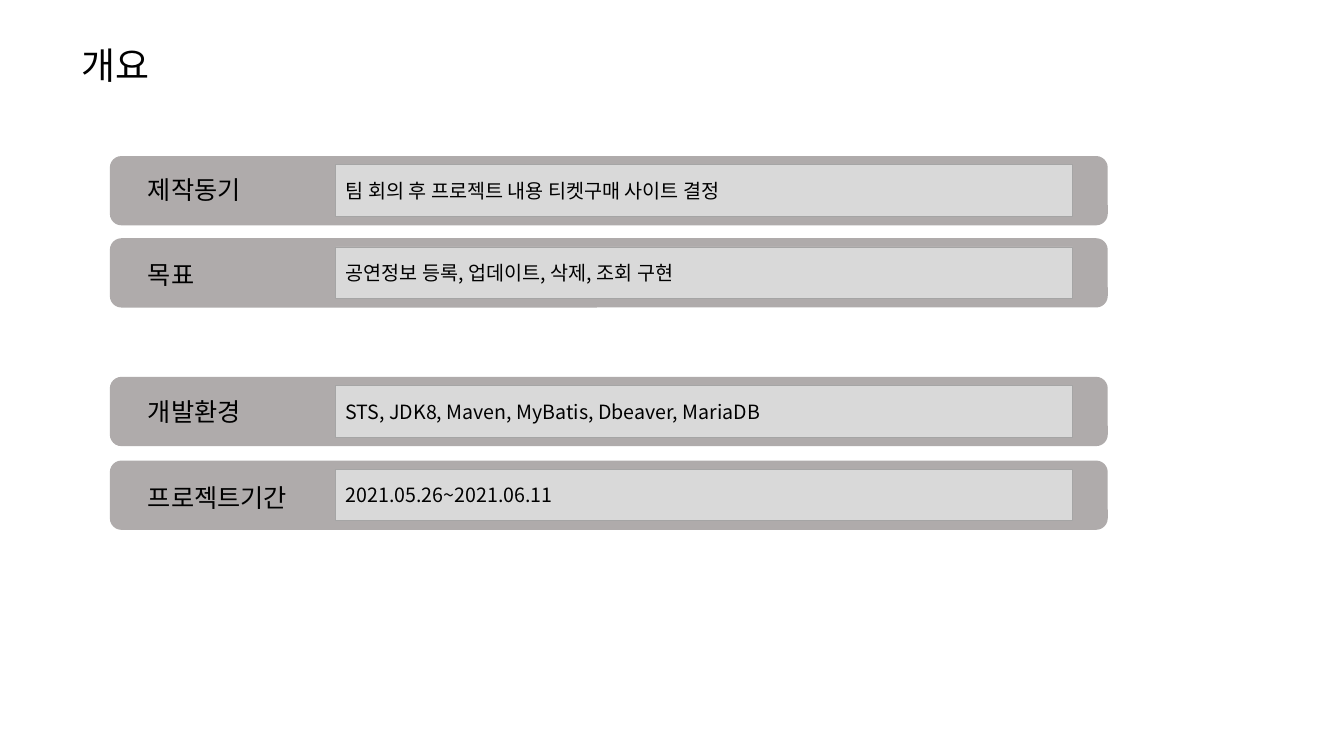
from pptx import Presentation
from pptx.dml.color import RGBColor
from pptx.enum.shapes import MSO_SHAPE
from pptx.enum.text import MSO_ANCHOR, MSO_AUTO_SIZE, PP_ALIGN
from pptx.oxml.ns import qn
from pptx.util import Pt
from lxml.etree import SubElement

COLORS = {"bar": "AFABAB", "panel": "D9D9D9", "edge": "A5A5A5", "text": "000000"}
FONT = "Noto Sans CJK KR"

deck = Presentation()
deck.slide_width, deck.slide_height = Pt(960), Pt(540)
page = deck.slides.add_slide(deck.slide_layouts[6])


def write(box, text, size, frame_format):
    frame = box.text_frame
    for name, value in frame_format.items():
        setattr(frame, name, value)
    para = frame.paragraphs[0]
    para.alignment = PP_ALIGN.LEFT
    span = para.add_run()
    span.text = text
    for name, value in {"size": Pt(size), "name": FONT}.items():
        setattr(span.font, name, value)
    span.font.color.rgb = RGBColor.from_string(COLORS["text"])
    SubElement(span.font._element, qn("a:ea"), typeface=FONT)
    return para


def add_block(kind, left, top, width, height, fill):
    block = page.shapes.add_shape(kind, Pt(left), Pt(top), Pt(width), Pt(height))
    block.shadow.inherit = False
    block.fill.solid()
    block.fill.fore_color.rgb = RGBColor.from_string(COLORS[fill])
    return block


middle = {"word_wrap": True, "vertical_anchor": MSO_ANCHOR.MIDDLE}
fitted = {"word_wrap": True, "auto_size": MSO_AUTO_SIZE.SHAPE_TO_FIT_TEXT}

title = page.shapes.add_textbox(Pt(51.1), Pt(34.6), Pt(248.4), Pt(31.7))
write(title, "개요", 26.4, middle).line_spacing = 0.7

rows = [
    (111.5, 121, "제작동기", "팀 회의 후 프로젝트 내용 티켓구매 사이트 결정"),
    (170.2, 181.4, "목표", "공연정보 등록, 업데이트, 삭제, 조회 구현"),
    (269.2, 279.4, "개발환경", "STS, JDK8, Maven, MyBatis, Dbeaver, MariaDB"),
    (329, 341.3, "프로젝트기간", "2021.05.26~2021.06.11"),
]
for bar_top, label_top, heading, detail in rows:
    bar = add_block(MSO_SHAPE.ROUNDED_RECTANGLE, 78.5, bar_top, 712.8, 49.5, "bar")
    bar.line.fill.background()

    label = page.shapes.add_textbox(Pt(98.6), Pt(label_top), Pt(122.4), Pt(28.8))
    write(label, heading, 18, fitted)

    panel = add_block(MSO_SHAPE.RECTANGLE, 239.8, bar_top + 6.2, 526.3, 36.7, "panel")
    panel.line.color.rgb = RGBColor.from_string(COLORS["edge"])
    panel.line.width = Pt(0.5)
    write(panel, detail, 14, middle)

deck.save("out.pptx")
